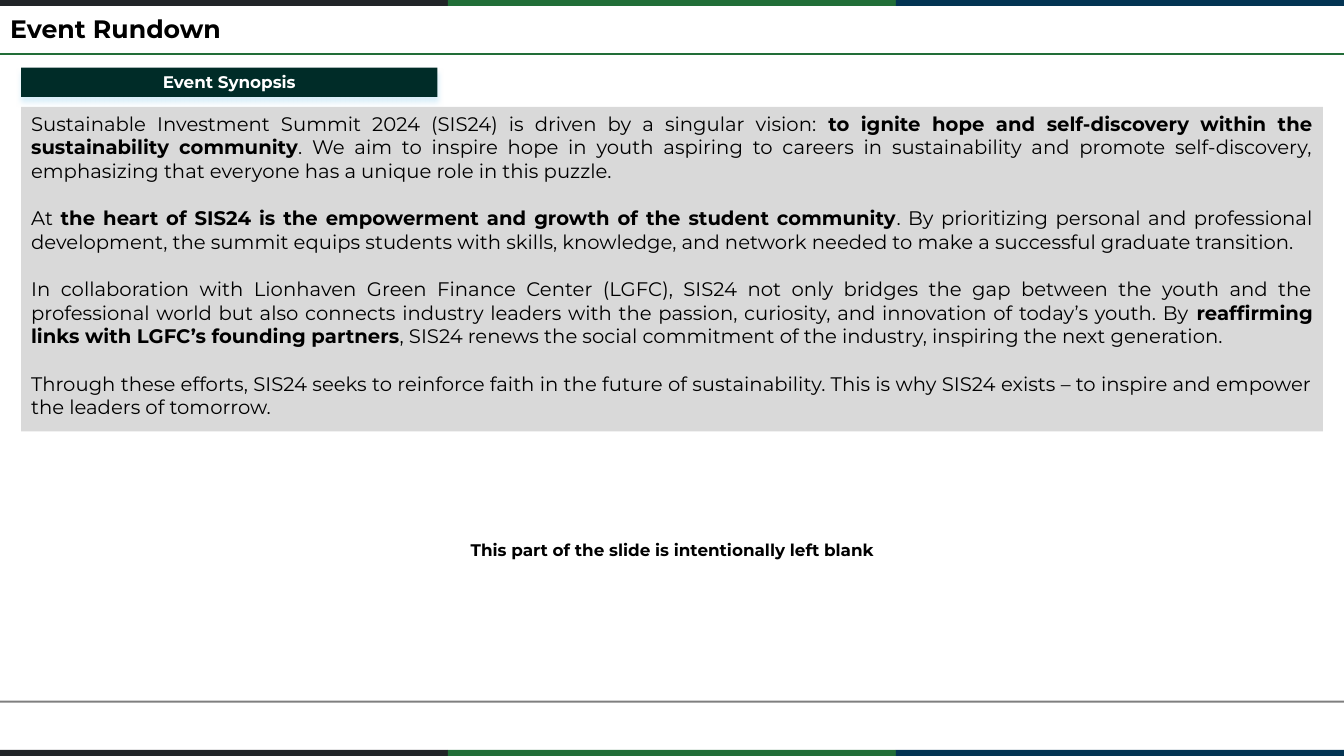
import dataclasses
import typing

import pptx
import pptx.dml.color
import pptx.enum.shapes
import pptx.enum.text
import pptx.oxml
import pptx.oxml.ns
import pptx.slide
import pptx.util

Inches = pptx.util.Inches
Pt = pptx.util.Pt
ALIGN = pptx.enum.text.PP_ALIGN
ANCHOR = pptx.enum.text.MSO_ANCHOR
WIDTH, HEIGHT = 13.33, 7.5
STRIPE_HEIGHT = 0.06
STRIPE_COLORS = ("212528", "216E38", "033453")
NAMESPACE = pptx.oxml.ns.nsdecls("a")
BANNER_SHADOW = (
    f'<a:effectLst {NAMESPACE}><a:outerShdw blurRad="50800" dist="50800" dir="5400000">'
    '<a:srgbClr val="DBEFF9"/></a:outerShdw></a:effectLst>'
)


@dataclasses.dataclass
class Span:
    text: str
    bold: bool = False


@dataclasses.dataclass
class Panel:
    left: float
    top: float
    width: float
    height: float
    paras: list[list[Span]]
    size: float
    color: str = "000000"
    fill: typing.Optional[str] = None
    frame: dict[str, typing.Any] = dataclasses.field(default_factory=dict)
    para: dict[str, typing.Any] = dataclasses.field(default_factory=dict)


@dataclasses.dataclass
class Rule:
    top: float
    color: str
    opacity: int = 100


SYNOPSIS = [
    [
        Span("Sustainable Investment Summit 2024 (SIS24) is driven by a singular vision: "),
        Span("to ignite hope and self-discovery within the sustainability community", True),
        Span(". We aim to inspire hope in youth aspiring to careers in sustainability and promote "
             "self-discovery, emphasizing that everyone has a unique role in this puzzle."),
    ],
    [
        Span("At "),
        Span("the heart of SIS24 is the empowerment and growth of the student community", True),
        Span(". By prioritizing personal and professional development, the summit equips students "
             "with skills, knowledge, and network needed to make a successful graduate transition."),
    ],
    [
        Span("In collaboration with Lionhaven Green Finance Center (LGFC), SIS24 not only bridges "
             "the gap between the youth and the professional world but also connects industry "
             "leaders with the passion, curiosity, and innovation of today’s youth. By "),
        Span("reaffirming links with LGFC’s founding partners", True),
        Span(", SIS24 renews the social commitment of the industry, inspiring the next generation."),
    ],
    [
        Span("Through these efforts, SIS24 seeks to reinforce faith in the future of sustainability. "
             "This is why SIS24 exists – to inspire and empower the leaders of tomorrow."),
    ],
]

TITLE = Panel(
    0.1, 0.13, 13.12, 0.34, [[Span("Event Rundown", True)]], 18,
    frame={"vertical_anchor": ANCHOR.MIDDLE, "margin_left": 0},
    para={"line_spacing": 0.9, "space_before": Pt(10)},
)
BANNER = Panel(
    0.21, 0.67, 4.13, 0.29, [[Span("Event Synopsis", True)]], 12, "FFFFFF", "002C28",
    frame={"vertical_anchor": ANCHOR.MIDDLE}, para={"alignment": ALIGN.CENTER},
)
BODY = Panel(
    0.21, 1.06, 12.91, 3.22, SYNOPSIS, 14, fill="D9D9D9",
    frame={"vertical_anchor": ANCHOR.TOP},
    para={"alignment": ALIGN.JUSTIFY, "space_after": Pt(17)},
)
BLANK_NOTE = Panel(
    4.32, 5.29, 4.7, 0.33, [[Span("This part of the slide is intentionally left blank", True)]], 12,
    frame={"vertical_anchor": ANCHOR.MIDDLE}, para={"alignment": ALIGN.CENTER},
)
RULES = (Rule(0.54, "226D38"), Rule(6.96, "000000", 50))


def rgb(color: str) -> pptx.dml.color.RGBColor:
    return pptx.dml.color.RGBColor.from_string(color)


def apply(target: typing.Any, values: dict[str, typing.Any]) -> None:
    for name, value in values.items():
        setattr(target, name, value)


def add_block(page: pptx.slide.Slide, left: float, top: float, width: float, height: float,
              color: str) -> typing.Any:
    block = page.shapes.add_shape(
        pptx.enum.shapes.MSO_SHAPE.RECTANGLE,
        Inches(left), Inches(top), Inches(width), Inches(height),
    )
    block.shadow.inherit = False
    block.fill.solid()
    block.fill.fore_color.rgb = rgb(color)
    block.line.fill.background()
    return block


def add_panel(page: pptx.slide.Slide, panel: Panel) -> typing.Any:
    place = (panel.left, panel.top, panel.width, panel.height)
    if panel.fill:
        box = add_block(page, *place, panel.fill)
    else:
        box = page.shapes.add_textbox(*map(Inches, place))
    frame = box.text_frame
    apply(frame, {"word_wrap": True, **panel.frame})
    for index, spans in enumerate(panel.paras):
        para = frame.add_paragraph() if index else frame.paragraphs[0]
        apply(para, panel.para)
        for span in spans:
            run = para.add_run()
            run.text = span.text
            apply(run.font, {"name": "Montserrat", "size": Pt(panel.size), "bold": span.bold})
            run.font.color.rgb = rgb(panel.color)
    return box


def add_rule(page: pptx.slide.Slide, rule: Rule) -> None:
    line = page.shapes.add_connector(
        pptx.enum.shapes.MSO_CONNECTOR.STRAIGHT,
        Inches(0), Inches(rule.top), Inches(WIDTH), Inches(rule.top),
    )
    line.line.width = Pt(1.5)
    line.line.color.rgb = rgb(rule.color)
    properties = line._element.spPr
    if rule.opacity < 100:
        tint = properties.find(".//" + pptx.oxml.ns.qn("a:srgbClr"))
        tint.append(pptx.oxml.parse_xml(f'<a:alpha {NAMESPACE} val="{rule.opacity * 1000}"/>'))
    properties.append(pptx.oxml.parse_xml(f"<a:effectLst {NAMESPACE}/>"))


def add_banner_shadow(banner: typing.Any) -> None:
    properties = banner._element.spPr
    plain = properties.find(pptx.oxml.ns.qn("a:effectLst"))
    properties.replace(plain, pptx.oxml.parse_xml(BANNER_SHADOW))


def main() -> None:
    deck = pptx.Presentation()
    deck.slide_width, deck.slide_height = Inches(WIDTH), Inches(HEIGHT)
    page = deck.slides.add_slide(deck.slide_layouts[6])
    stripe_width = WIDTH / len(STRIPE_COLORS)
    for top in (0, HEIGHT - STRIPE_HEIGHT):
        for index, color in enumerate(STRIPE_COLORS):
            add_block(page, index * stripe_width, top, stripe_width, STRIPE_HEIGHT, color)
    for rule in RULES:
        add_rule(page, rule)
    add_panel(page, TITLE)
    add_banner_shadow(add_panel(page, BANNER))
    add_panel(page, BODY)
    add_panel(page, BLANK_NOTE)
    deck.save("out.pptx")


if __name__ == "__main__":
    main()
